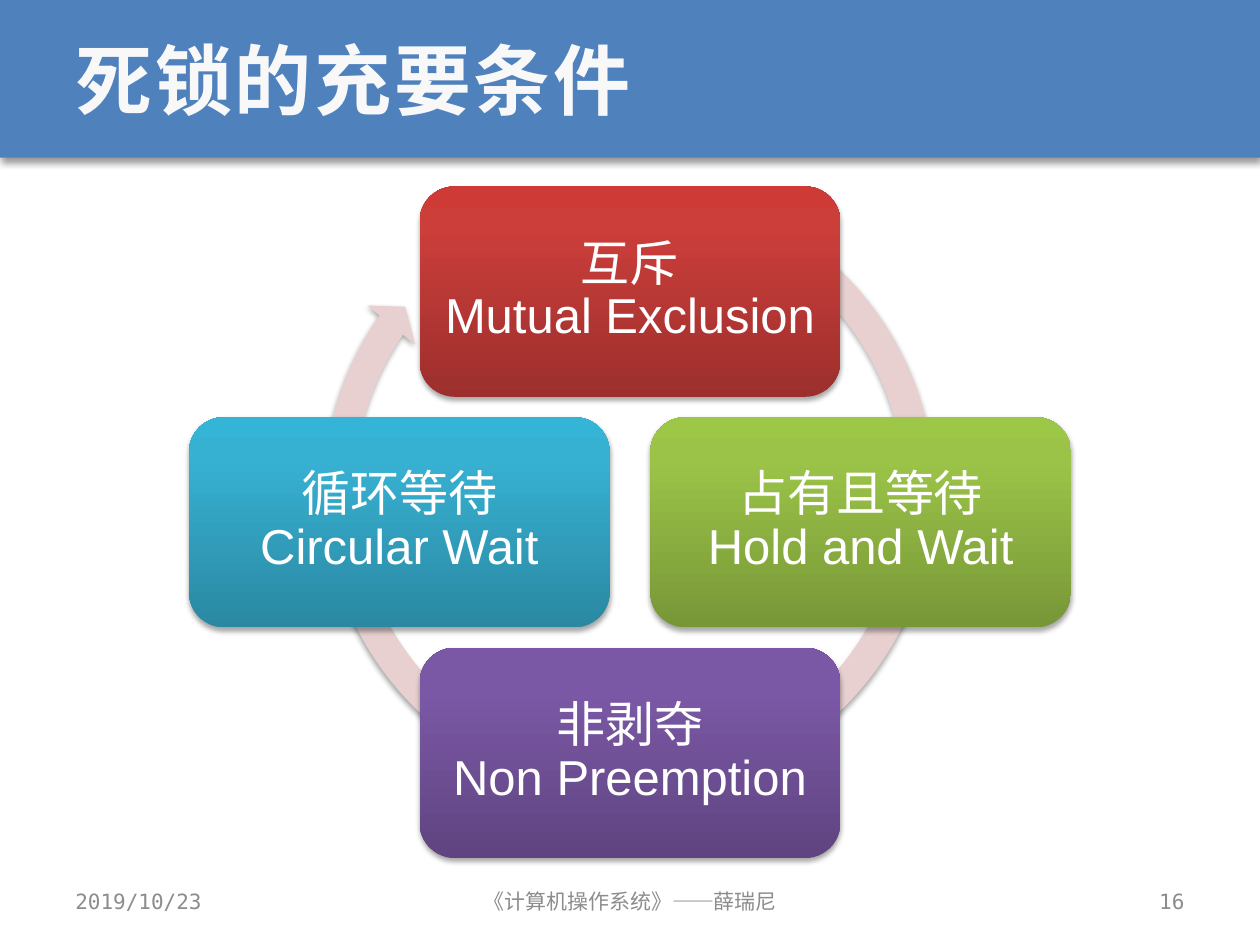
from copy import deepcopy
from dataclasses import dataclass

from lxml.etree import SubElement
from pptx import Presentation
from pptx.dml.color import RGBColor
from pptx.enum.shapes import MSO_SHAPE
from pptx.enum.text import MSO_ANCHOR, MSO_AUTO_SIZE, PP_ALIGN
from pptx.oxml.ns import qn
from pptx.util import Cm, Pt

COLORS = {"band": "4F81BD", "title": "F8F8F8", "arrow": "E8D0D0",
          "white": "FFFFFF", "footer": "8C8C8C", "shadow": "000000"}
MONO = "DejaVu Sans Mono"
CENTER_X, CENTER_Y, STEP = 12.7, 10.53, 4.65
CARD_W, CARD_H = 8.48, 4.24
STOPS = (0, 0.8, 1)


@dataclass
class Condition:
    chinese: str
    english: str
    dx: int
    dy: int
    gradient: tuple[str, str, str]


@dataclass
class FooterItem:
    text: str
    left: float
    width: float
    align: PP_ALIGN


CONDITIONS = [
    Condition("互斥", "Mutual Exclusion", 0, -1, ("9C2F2D", "CB3E3A", "CE3B37")),
    Condition("占有且等待", "Hold and Wait", 1, 0, ("779737", "9BC348", "9DC746")),
    Condition("非剥夺", "Non Preemption", 0, 1, ("5F4480", "7B58A6", "7C57A8")),
    Condition("循环等待", "Circular Wait", -1, 0, ("2A88A2", "37B1D2", "34B4D6")),
]
FOOTER = [
    FooterItem("2019/10/23", 1.27, 5.92, PP_ALIGN.LEFT),
    FooterItem("《计算机操作系统》——薛瑞尼", 8.68, 8.05, PP_ALIGN.CENTER),
    FooterItem("16", 18.21, 5.92, PP_ALIGN.RIGHT),
]


def rgb(name: str) -> RGBColor:
    return RGBColor.from_string(COLORS[name])


def set_text(tf, text: str, color: str, align: PP_ALIGN, **font) -> None:
    tf.text = text
    tf.word_wrap = True
    tf.auto_size = MSO_AUTO_SIZE.NONE
    tf.vertical_anchor = MSO_ANCHOR.MIDDLE
    p = tf.paragraphs[0]
    p.alignment = align
    for r in p.runs:
        r.font.color.rgb = rgb(color)
        for key, value in font.items():
            setattr(r.font, key, value)


def add_shadow(sp, alpha: int, blur: float, dist: float) -> None:
    sp.shadow.inherit = False
    effects = sp._element.spPr.find(qn("a:effectLst"))
    shadow = SubElement(effects, qn("a:outerShdw"), blurRad=str(Pt(blur)),
                        dist=str(Pt(dist)), dir="5400000", rotWithShape="0")
    color = SubElement(shadow, qn("a:srgbClr"), val=COLORS["shadow"])
    SubElement(color, qn("a:alpha"), val=str(alpha * 1000))


def add_shape(s, kind: MSO_SHAPE, box: tuple, fill: str | None = None):
    sp = s.shapes.add_shape(kind, *(Cm(v) for v in box))
    sp.line.fill.background()
    if fill:
        sp.fill.solid()
        sp.fill.fore_color.rgb = rgb(fill)
    return sp


def add_condition(s, c: Condition) -> None:
    left = CENTER_X + c.dx * STEP - CARD_W / 2
    top = CENTER_Y + c.dy * STEP - CARD_H / 2
    sp = add_shape(s, MSO_SHAPE.ROUNDED_RECTANGLE, (left, top, CARD_W, CARD_H))
    # Three-stop gradient running from bottom to top
    sp.fill.gradient()
    sp.fill.gradient_angle = 90
    stops = sp._element.spPr.find(qn("a:gradFill")).find(qn("a:gsLst"))
    stops.append(deepcopy(stops[0]))
    for stop, position, color in zip(sp.fill.gradient_stops, STOPS, c.gradient):
        stop.position = position
        stop.color.rgb = RGBColor.from_string(color)
    add_shadow(sp, 35, 3.1, 1.8)
    tf = sp.text_frame
    set_text(tf, f"{c.chinese}\v{c.english}", "white", PP_ALIGN.CENTER,
             name="Arial", size=Pt(28))
    tf.paragraphs[0].line_spacing = 0.9


def add_footer_item(s, item: FooterItem) -> None:
    tb = s.shapes.add_textbox(Cm(item.left), Cm(17.65), Cm(item.width), Cm(1.02))
    set_text(tb.text_frame, item.text, "footer", item.align, name=MONO, size=Pt(12))


def main() -> None:
    prs = Presentation()
    prs.slide_width, prs.slide_height = Cm(25.4), Cm(19.05)
    s = prs.slides.add_slide(prs.slide_layouts[5])

    # Title band, behind the title
    band = add_shape(s, MSO_SHAPE.RECTANGLE, (0, 0, 25.4, 3.18), "band")
    add_shadow(band, 40, 4, 3)
    s.shapes._spTree.insert(2, band._element)

    # Title
    title = s.shapes.title
    title.left, title.top, title.width, title.height = (
        Cm(v) for v in (1.27, 0, 22.86, 3.18))
    set_text(title.text_frame, "死锁的充要条件", "title", PP_ALIGN.LEFT,
             name=MONO, size=Pt(44), bold=True)
    title.text_frame.paragraphs[0].runs[0]._r.get_or_add_rPr().set("spc", "150")

    # Cycle arrow
    arrow = add_shape(s, MSO_SHAPE.CIRCULAR_ARROW, (6.22, 3.43, 12.93, 12.93), "arrow")
    for i, value in enumerate((0.047, 2.729, 128.918, 179.898, 0.048)):
        arrow.adjustments[i] = value
    add_shadow(arrow, 35, 3.1, 1.8)

    # Four conditions around the cycle
    for c in CONDITIONS:
        add_condition(s, c)

    # Footer
    for item in FOOTER:
        add_footer_item(s, item)

    prs.save("out.pptx")


if __name__ == "__main__":
    main()
